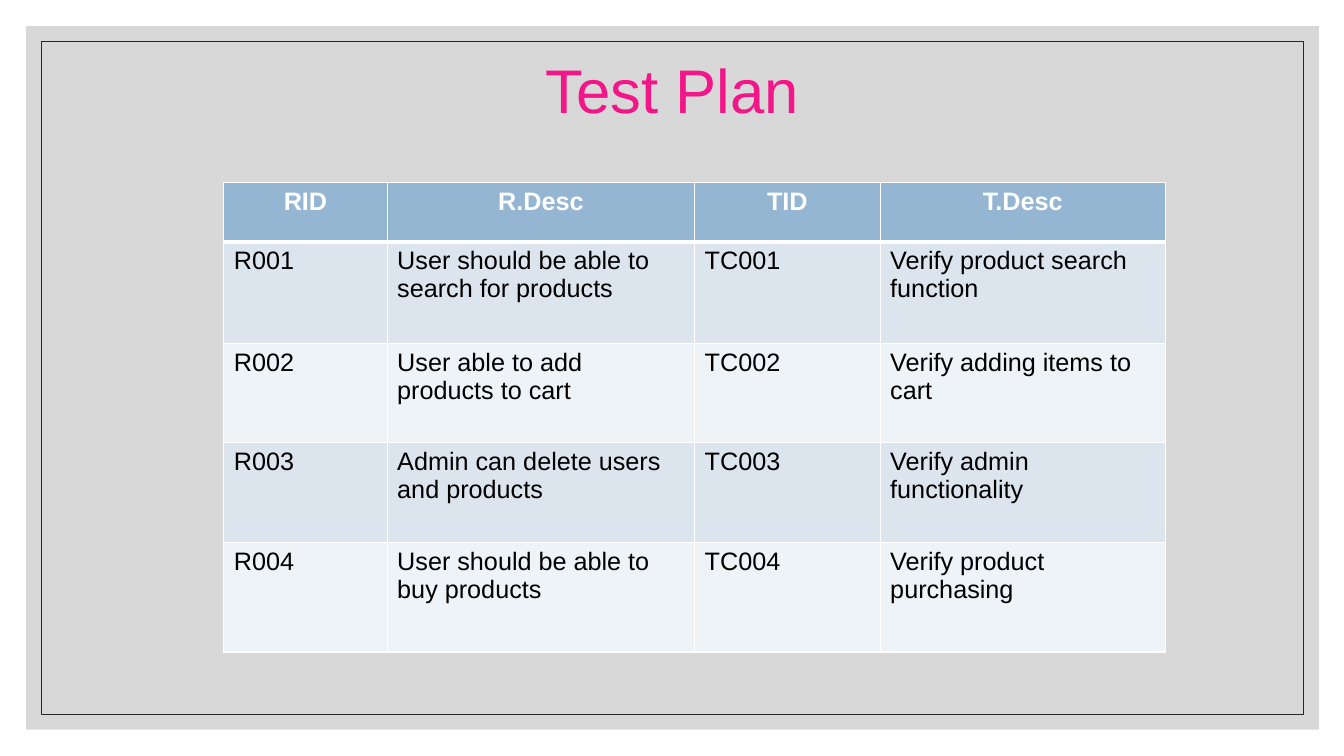
from dataclasses import dataclass

from lxml.etree import SubElement as Sub
from pptx import Presentation
from pptx.dml.color import RGBColor as Rgb
from pptx.enum.shapes import MSO_SHAPE as Kind
from pptx.enum.text import MSO_ANCHOR as Anchor, PP_ALIGN as Align
from pptx.oxml.ns import qn
from pptx.util import Pt

PX = 9144


@dataclass(frozen=True)
class Theme:
    """Colours, font and type sizes of the slide."""
    font: str = "Arial"
    title: str = "F21689"
    panel: str = "BFBFBF"
    frame: str = "262626"
    head: str = "94B6D2"
    bands: tuple = ("DCE5EE", "EEF3F7")
    white: str = "FFFFFF"
    ink: str = "000000"
    big: int = 44
    base: int = 18


def write(box, text, *, font, size, color, bold=False, align=Align.LEFT, lead=None):
    """Put one formatted paragraph in a text frame."""
    para = box.paragraphs[0]
    para.alignment = align
    if lead:
        para.line_spacing = lead
    run = para.add_run()
    run.text = text
    run.font.name = font
    run.font.size = Pt(size)
    run.font.bold = bold
    run.font.color.rgb = Rgb.from_string(color)


def edge(cell, side, color, width):
    """Draw one border of a table cell."""
    line = Sub(cell._tc.get_or_add_tcPr(), qn(f"a:ln{side}"), w=str(Pt(width)))
    fill = Sub(line, qn("a:solidFill"))
    Sub(fill, qn("a:srgbClr"), val=color)


class Deck:
    """Holds the theme and the current slide."""

    def __init__(self, theme, wide, high):
        """Open a deck with one title slide."""
        self.theme = theme
        self.file = Presentation()
        self.file.slide_width = wide * PX
        self.file.slide_height = high * PX
        self.slide = self.file.slides.add_slide(self.file.slide_layouts[5])

    def rect(self, *area, fill=None, alpha=None, line=None):
        """Add a rectangle with a fill or an outline."""
        shape = self.slide.shapes.add_shape(Kind.RECTANGLE, *(n * PX for n in area))
        shape.shadow.inherit = False
        if fill:
            shape.fill.solid()
            shape.fill.fore_color.rgb = Rgb.from_string(fill)
        else:
            shape.fill.background()
        if alpha:
            tint = shape.element.spPr.find(f".//{qn('a:srgbClr')}")
            Sub(tint, qn("a:alpha"), val=str(alpha * 1000))
        if line:
            shape.line.color.rgb = Rgb.from_string(line)
            shape.line.width = Pt(0.5)
        else:
            shape.line.fill.background()
        return shape

    def title(self, text, *area, above):
        """Fill the title and set it above a shape."""
        shape = self.slide.shapes.title
        shape.left, shape.top, shape.width, shape.height = (n * PX for n in area)
        above.element.addnext(shape.element)
        box = shape.text_frame
        box.word_wrap = True
        box.vertical_anchor = Anchor.MIDDLE
        box.margin_left = box.margin_top = box.margin_right = box.margin_bottom = 0
        write(box, text, font=self.theme.font, size=self.theme.big,
              color=self.theme.title, align=Align.CENTER, lead=0.9)

    def table(self, rows, left, top, wides, highs):
        """Add a banded table with a bold head row."""
        area = (left, top, sum(wides), sum(highs))
        grid = self.slide.shapes.add_table(
            len(rows), len(wides), *(n * PX for n in area)).table
        for col, wide in zip(grid.columns, wides):
            col.width = wide * PX
        for row, high in zip(grid.rows, highs):
            row.height = high * PX
        for r, row in enumerate(rows):
            for c, text in enumerate(row):
                self.cell(grid.cell(r, c), text, r)

    def cell(self, cell, text, row):
        """Style one cell by its row."""
        look = self.theme
        head = row == 0
        for side in "LRTB":
            thick = (row, side) in ((0, "B"), (1, "T"))
            edge(cell, side, look.white, 3 if thick else 1)
        cell.fill.solid()
        tint = look.head if head else look.bands[(row - 1) % 2]
        cell.fill.fore_color.rgb = Rgb.from_string(tint)
        write(cell.text_frame, text, font=look.font, size=look.base, bold=head,
              color=look.white if head else look.ink,
              align=Align.CENTER if head else Align.LEFT)


PLAN = [
    ("RID", "R.Desc", "TID", "T.Desc"),
    ("R001", "User should be able to search for products",
     "TC001", "Verify product search function"),
    ("R002", "User able to add products to cart",
     "TC002", "Verify adding items to cart"),
    ("R003", "Admin can delete users and products",
     "TC003", "Verify admin functionality"),
    ("R004", "User should be able to buy products",
     "TC004", "Verify product purchasing"),
]


def main():
    """Build and save the test plan slide."""
    theme = Theme()
    deck = Deck(theme, 1333, 750)
    deck.rect(26, 26, 1282, 698, fill=theme.panel, alpha=60)
    frame = deck.rect(41, 41, 1252, 668, line=theme.frame)
    deck.title("Test Plan", 67, 30, 1200, 125, above=frame)
    deck.table(PLAN, 222, 181, (162, 305, 184, 283), (59, 101, 98, 99, 109))
    deck.file.save("out.pptx")


if __name__ == "__main__":
    main()
